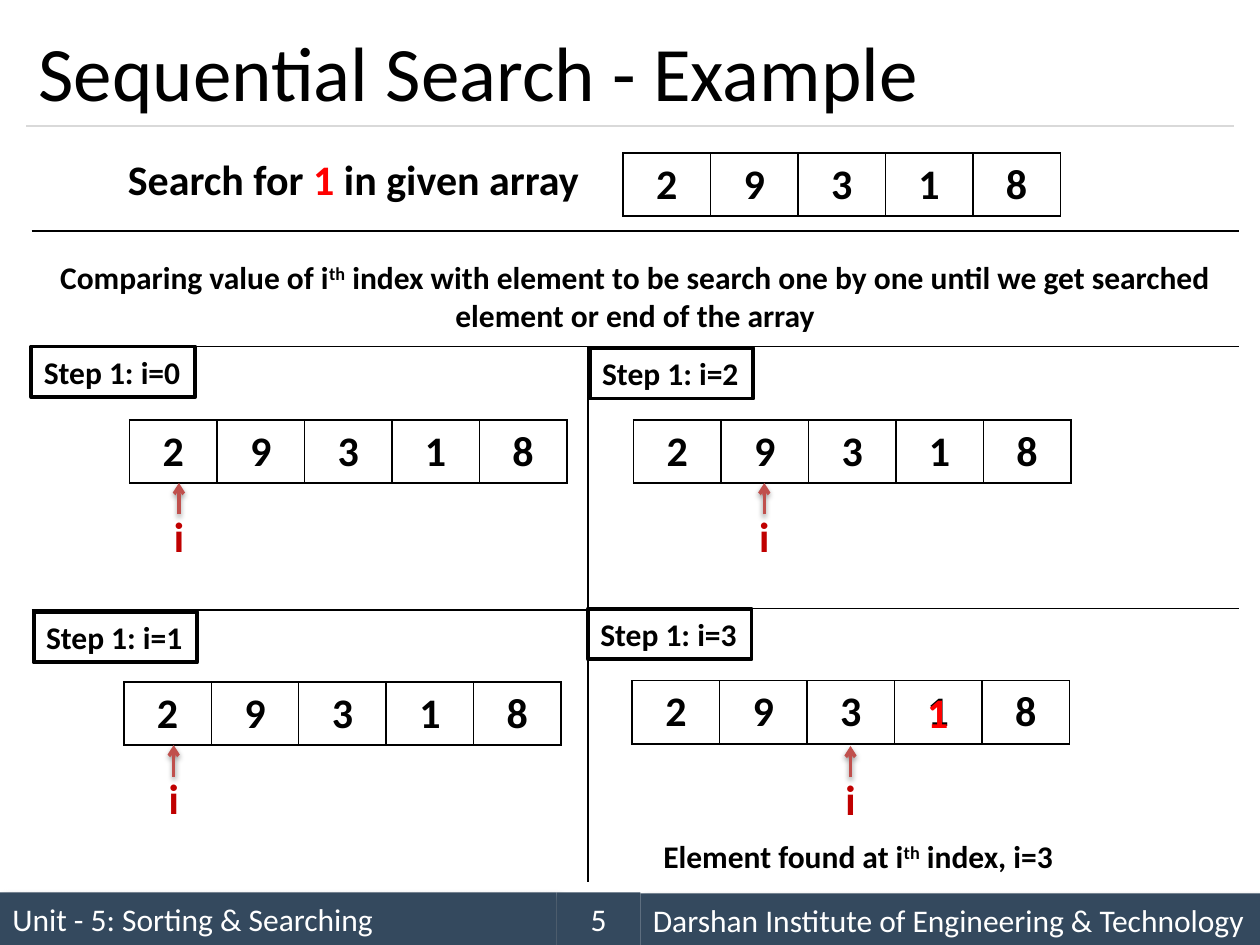
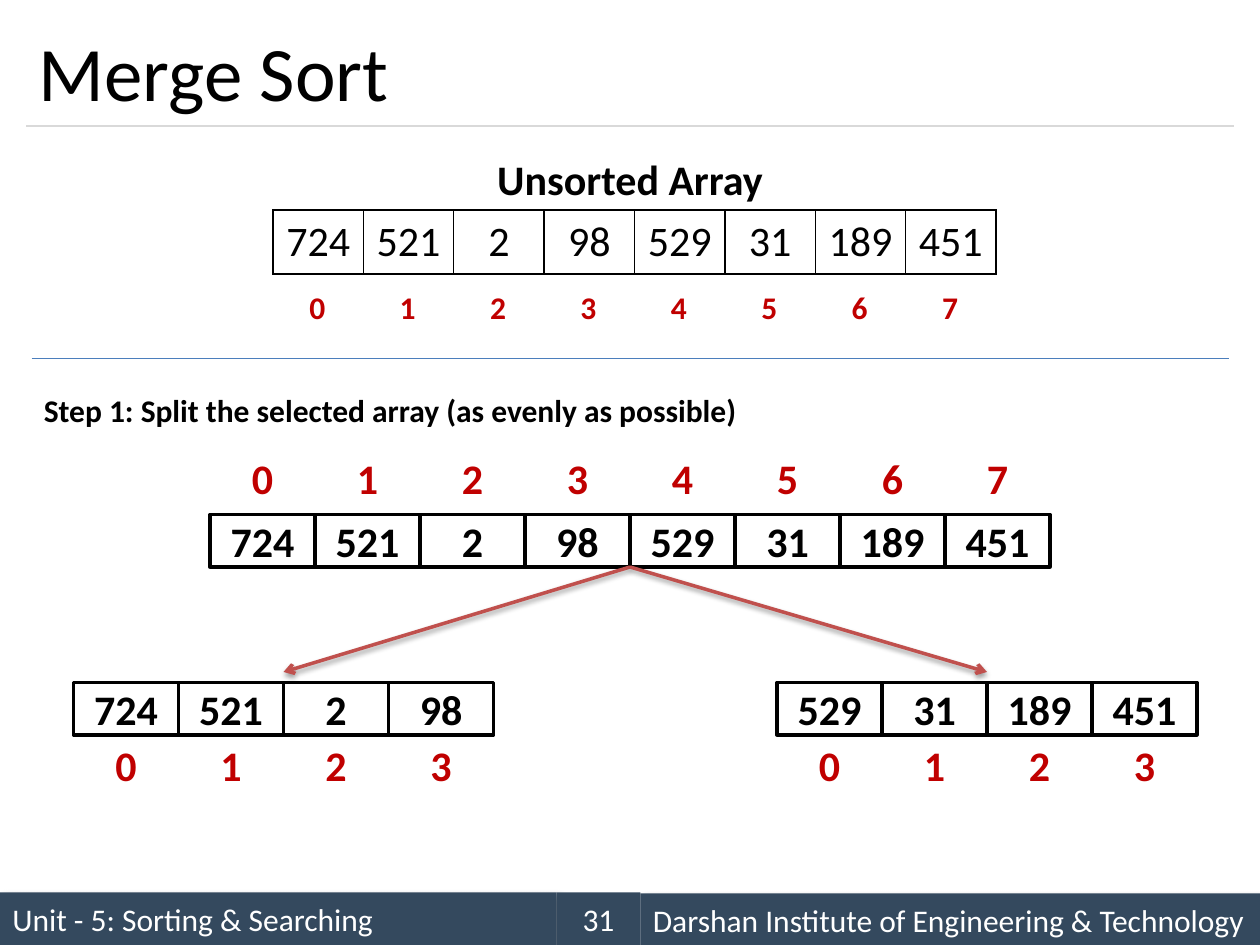
from lxml.etree import SubElement
from pptx import Presentation
from pptx.dml.color import RGBColor
from pptx.enum.shapes import MSO_CONNECTOR, MSO_SHAPE
from pptx.enum.text import MSO_ANCHOR as Anchor, MSO_AUTO_SIZE as AutoSize, PP_ALIGN as Align
from pptx.oxml.ns import qn
from pptx.util import Pt

BLACK = RGBColor(0x00, 0x00, 0x00)
WHITE = RGBColor(0xFF, 0xFF, 0xFF)
RED = RGBColor(0xFF, 0x00, 0x00)
DARK_RED = RGBColor(0xC0, 0x00, 0x00)
ARROW_RED = RGBColor(0xC0, 0x50, 0x4D)
NAVY = RGBColor(0x34, 0x49, 0x5E)
BLUE = RGBColor(0x4B, 0x7E, 0xBC)
GREY = RGBColor(0xD9, 0xD9, 0xD9)

# opacity %, blur pt, distance pt, direction in degrees
BAND_SHADOW = (40, 4, 3, 45)
ARROW_SHADOW = (38, 3.1, 1.6, 90)


def add_shadow(effects, opacity, blur, distance, angle):
    shadow = SubElement(effects, qn("a:outerShdw"), blurRad=str(Pt(blur)),
                        dist=str(Pt(distance)), dir=str(angle * 60000),
                        algn="t", rotWithShape="0")
    color = SubElement(shadow, qn("a:srgbClr"), val=str(BLACK))
    SubElement(color, qn("a:alpha"), val=str(opacity * 1000))


class Deck:
    """Holds the shared style and draws on the current slide; lengths are in points."""

    font = "Calibri"
    unit = "Unit - 5: Sorting & Searching"
    institute = "Darshan Institute of Engineering & Technology"

    def __init__(self):
        self.prs = Presentation()
        self.prs.slide_width, self.prs.slide_height = Pt(720), Pt(540)

    def slide(self, title, number):
        s = self.prs.slides.add_slide(self.prs.slide_layouts[6])
        self.shapes = s.shapes
        band = dict(fill=NAVY, color=WHITE, size=18, bold=False)
        self.box(self.unit, 0, 510, 318, 30, align=Align.LEFT, shadow=BAND_SHADOW, **band)
        self.box(self.institute, 366, 510.5, 354, 30, align=Align.LEFT,
                 shadow=BAND_SHADOW, **band)
        self.box(str(number), 318, 510, 48, 30, **band)
        self.line(15, 72, 705, 72, GREY)
        self.text([title], 15, 9, 690, 63, size=44, bold=False, wrap=True,
                  anchor=Anchor.MIDDLE)

    def add_runs(self, tf, runs, size, color, bold, align):
        """Fill the first paragraph; a run is a string or (string, colour, superscript)."""
        p = tf.paragraphs[0]
        p.alignment = align
        for run in runs:
            text, run_color, raised = (run, color, False) if isinstance(run, str) else run
            r = p.add_run()
            r.text = text
            r.font.name, r.font.size, r.font.bold = self.font, Pt(size), bold
            r.font.color.rgb = run_color
            if raised:
                r._r.get_or_add_rPr().set("baseline", "30000")

    def text(self, runs, x, y, w, h, size=18, color=BLACK, bold=True,
             align=Align.LEFT, wrap=False, anchor=Anchor.TOP, border=None):
        sp = self.shapes.add_textbox(Pt(x), Pt(y), Pt(w), Pt(h))
        tf = sp.text_frame
        tf.word_wrap = wrap
        tf.auto_size = AutoSize.NONE if wrap else AutoSize.SHAPE_TO_FIT_TEXT
        tf.vertical_anchor = anchor
        if border:
            sp.line.color.rgb, sp.line.width = BLACK, Pt(border)
        self.add_runs(tf, runs, size, color, bold, align)

    def box(self, text, x, y, w, h, fill=WHITE, border=None, color=BLACK, size=24,
            bold=True, align=Align.CENTER, shadow=None):
        sp = self.shapes.add_shape(MSO_SHAPE.RECTANGLE, Pt(x), Pt(y), Pt(w), Pt(h))
        sp.shadow.inherit = False
        if shadow:
            add_shadow(sp._element.spPr.find(qn("a:effectLst")), *shadow)
        sp.fill.solid()
        sp.fill.fore_color.rgb = fill
        if border:
            sp.line.color.rgb, sp.line.width = BLACK, Pt(border)
        else:
            sp.line.fill.background()
        sp.text_frame.word_wrap = True
        sp.text_frame.vertical_anchor = Anchor.MIDDLE
        self.add_runs(sp.text_frame, [text], size, color, bold, align)

    def line(self, x1, y1, x2, y2, color=BLACK, width=0.75):
        c = self.shapes.add_connector(MSO_CONNECTOR.STRAIGHT, Pt(x1), Pt(y1), Pt(x2), Pt(y2))
        c.line.color.rgb, c.line.width = color, Pt(width)
        SubElement(c._element.spPr, qn("a:effectLst"))
        return c

    def arrow(self, x1, y1, x2, y2):
        sp_pr = self.line(x1, y1, x2, y2, ARROW_RED, 2)._element.spPr
        SubElement(sp_pr.find(qn("a:ln")), qn("a:tailEnd"), type="arrow")
        add_shadow(sp_pr.find(qn("a:effectLst")), *ARROW_SHADOW)

    def pointer(self, x, y):
        """Group an upward arrow with its tip at (x, y) and the label i below it."""
        slide_shapes = self.shapes
        self.shapes = slide_shapes.add_group_shape().shapes
        self.text(["i"], x - 10, y + 12, 20, 36, size=24, color=DARK_RED, align=Align.CENTER)
        self.arrow(x, y + 18, x, y)
        self.shapes = slide_shapes

    def table(self, values, x, y, col_width, height=36, size=24, color=BLACK,
              bold=True, borders=True):
        n = len(values)
        table = self.shapes.add_table(1, n, Pt(x), Pt(y), Pt(col_width * n), Pt(height)).table
        table.first_row = table.horz_banding = False
        for column, cell, value in zip(table.columns, table.rows[0].cells, values):
            column.width = Pt(col_width)
            if borders:
                tc_pr = cell._tc.get_or_add_tcPr()
                for side in ("lnL", "lnR", "lnT", "lnB"):
                    ln = SubElement(tc_pr, qn(f"a:{side}"), w=str(Pt(1)))
                    SubElement(SubElement(ln, qn("a:solidFill")), qn("a:srgbClr"), val=str(BLACK))
            cell.fill.background()
            self.add_runs(cell.text_frame, [str(value)], size, color, bold, Align.CENTER)

    def array(self, values, x, y, index_y):
        """Draw a row of boxed values with their indexes in a row at index_y."""
        for i, value in enumerate(values):
            self.box(str(value), x + 60 * i, y, 60, 30, border=2)
        for i in range(len(values)):
            self.box(str(i), x + 60 * i, index_y, 60, 30, color=DARK_RED)


def sequential_search(deck):
    numbers = [2, 9, 3, 1, 8]
    th = ("th", BLACK, True)
    deck.slide("Sequential Search - Example", 5)
    deck.text(["Search for ", ("1", RED, False), " in given array"], 66, 84, 281, 36, size=24)
    deck.table(numbers, 356, 87.5, 50)
    deck.text(["Comparing value of i", th, " index with element to be search one by one "
               "until we get searched element or end of the array"],
              18, 144, 690, 51, align=Align.CENTER, wrap=True)

    for x1, y1, x2, y2 in [(18, 132, 708, 132), (18, 198, 708, 198), (336, 198, 336, 504),
                           (18, 348.5, 336, 348.5), (336, 347.75, 708, 347.75)]:
        deck.line(x1, y1, x2, y2)

    # index, label corner, array corner, pointer tip
    steps = [(0, (18, 198), (74, 240), (102.25, 276)),
             (1, (19.25, 349.5), (70.75, 389.75), (99.25, 425.75)),
             (2, (337, 198.75), (362, 240), (436.75, 276)),
             (3, (336, 347.75), (361.25, 389), (486, 426.25))]
    for i, label, array, tip in steps:
        deck.text([f"Step 1: i={i}"], *label, 93.5, 29, border=2.25)
        deck.table(numbers, *array, 50)
        deck.pointer(*tip)

    deck.text(["1"], 522.75, 389, 26.5, 36, size=24, color=RED)
    deck.text(["Element found at i", th, " index, i=3"], 372, 475, 240.5, 29)


def merge_sort(deck):
    numbers = [724, 521, 2, 98, 529, 31, 189, 451]
    half = len(numbers) // 2
    deck.slide("Merge Sort", 31)
    deck.table(numbers, 156, 120, 51.67, bold=False)
    deck.text(["Unsorted Array"], 276, 84, 168, 36, size=24, align=Align.CENTER)
    deck.table(range(len(numbers)), 155.5, 162, 51.67, height=29.25, size=18,
               color=DARK_RED, borders=False)
    deck.line(18, 205, 702, 205, BLUE)
    deck.text(["Step 1: Split the selected array (as evenly as possible)"],
              18, 219.75, 426, 29, wrap=True)

    deck.array(numbers, 120, 294, 258)
    for part, x in ((numbers[:half], 42), (numbers[half:], 444)):
        deck.array(part, x, 390, 422)
        deck.arrow(360, 324, x + 120, 384)


def main():
    deck = Deck()
    sequential_search(deck)
    merge_sort(deck)
    deck.prs.save("out.pptx")


if __name__ == "__main__":
    main()
